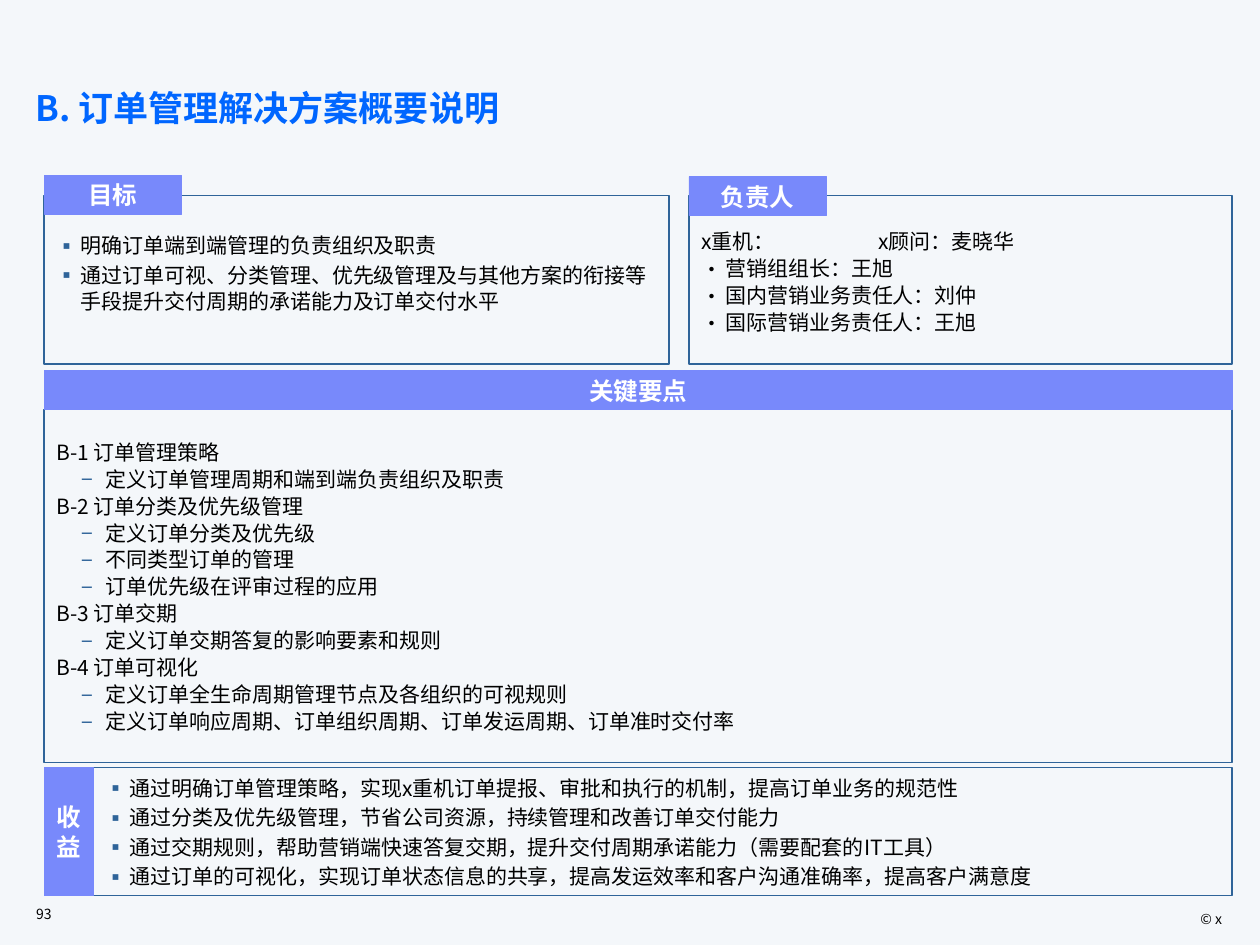
from lxml import etree
from pptx import Presentation
from pptx.dml.color import RGBColor
from pptx.enum.shapes import MSO_SHAPE
from pptx.enum.text import MSO_ANCHOR, MSO_AUTO_SIZE, PP_ALIGN
from pptx.oxml.ns import qn
from pptx.util import Cm, Pt

RECT = MSO_SHAPE.RECTANGLE
TOP, MID = MSO_ANCHOR.TOP, MSO_ANCHOR.MIDDLE
LEFT, CENTER, RIGHT = PP_ALIGN.LEFT, PP_ALIGN.CENTER, PP_ALIGN.RIGHT
FONT = "Noto Sans CJK SC"
HUE = {"back": "F4F7FA", "title": "0066FF", "line": "2F6499",
       "band": "7889FB", "text": "000000", "white": "FFFFFF"}
HANG = 0.48  # bullet hanging indent, cm


def color(name):
    return RGBColor.from_string(HUE[name])


def write(shape, rows, size=12, hue="text", bold=False, align=LEFT,
          anchor=MID, lead=13, gap=0, pad=(0.25, 0.13)):
    """Fill a shape with rows of (text, bullet, bullet colour, indent)."""
    frame = shape.text_frame
    frame.word_wrap = True
    frame.auto_size = MSO_AUTO_SIZE.NONE
    frame.vertical_anchor = anchor
    frame.margin_left = frame.margin_right = Cm(pad[0])
    frame.margin_top, frame.margin_bottom = Cm(pad[1]), Cm(min(pad[1], 0.13))
    for i, (text, mark, tint, left) in enumerate(rows):
        para = frame.paragraphs[0] if i == 0 else frame.add_paragraph()
        para.alignment = align
        para.line_spacing = Pt(lead)
        para.space_before = Pt(gap if i else 0)
        props = para._p.get_or_add_pPr()
        if mark:
            props.set("marL", str(Cm(left)))
            props.set("indent", str(-Cm(HANG)))
            tone = etree.SubElement(props, qn("a:buClr"))
            etree.SubElement(tone, qn("a:srgbClr"), val=HUE[tint])
            etree.SubElement(props, qn("a:buFont"), typeface=FONT)
            etree.SubElement(props, qn("a:buChar"), char=mark)
        if "\t" in text:
            tabs = etree.SubElement(props, qn("a:tabLst"))
            etree.SubElement(tabs, qn("a:tab"), pos=str(Cm(3.57)), algn="l")
        run = para.add_run()
        run.text = text
        font = run.font
        font.name, font.size, font.bold = FONT, Pt(size), bold
        font.color.rgb = color(hue)
        etree.SubElement(run._r.get_or_add_rPr(), qn("a:ea"), typeface=FONT)


deck = Presentation()
deck.slide_width, deck.slide_height = Cm(25.4), Cm(19.05)
slide = deck.slides.add_slide(deck.slide_layouts[5])
slide.background.fill.solid()
slide.background.fill.fore_color.rgb = color("back")

# Title
title = slide.shapes.title
title.left, title.top = Cm(0.46), Cm(1.65)
title.width, title.height = Cm(24.51), Cm(1.93)
write(title, [("B. 订单管理解决方案概要说明", "", "", 0)], 20, "title", True,
      anchor=TOP, lead=23)

# Panel wording
goals = [(text, "▪", "line", HANG) for text in (
    "明确订单端到端管理的负责组织及职责",
    "通过订单可视、分类管理、优先级管理及与其他方案的衔接等手段提升交付周期的承诺能力及订单交付水平")]
gains = [(text, "▪", "line", HANG) for text in (
    "通过明确订单管理策略，实现x重机订单提报、审批和执行的机制，提高订单业务的规范性",
    "通过分类及优先级管理，节省公司资源，持续管理和改善订单交付能力",
    "通过交期规则，帮助营销端快速答复交期，提升交付周期承诺能力（需要配套的IT工具）",
    "通过订单的可视化，实现订单状态信息的共享，提高发运效率和客户沟通准确率，提高客户满意度")]
owners = [("x重机：\tx顾问：麦晓华", "", "", 0)]
owners += [(text, "•", "text", HANG) for text in (
    "营销组组长：王旭", "国内营销业务责任人：刘仲", "国际营销业务责任人：王旭")]
topics = {
    "B-1 订单管理策略": ["定义订单管理周期和端到端负责组织及职责"],
    "B-2 订单分类及优先级管理": ["定义订单分类及优先级", "不同类型订单的管理",
                        "订单优先级在评审过程的应用"],
    "B-3 订单交期": ["定义订单交期答复的影响要素和规则"],
    "B-4 订单可视化": ["定义订单全生命周期管理节点及各组织的可视规则",
                   "定义订单响应周期、订单组织周期、订单发运周期、订单准时交付率"],
}
points = []
for head, items in topics.items():
    points.append((head, "", "", 0))
    points += [(text, "−", "line", 0.99) for text in items]

# Outlined panels: place, rows, anchor, line pitch, gap, top inset
panels = [
    ((0.89, 3.94, 12.6, 3.4), goals, TOP, 14.8, 2, 0.74),
    ((1.88, 15.47, 22.96, 2.59), gains, MID, 14.8, 2, 0.13),
    ((0.89, 8.26, 23.95, 7.11), points, MID, 13, 2.4, 0.2),
    ((13.89, 3.94, 10.95, 3.4), owners, TOP, 13, 2.4, 0.72),
]
for place, rows, anchor, lead, gap, top in panels:
    box = slide.shapes.add_shape(RECT, *map(Cm, place))
    box.shadow.inherit = False
    box.fill.background()
    box.line.color.rgb = color("line")
    box.line.width = Pt(0.75)
    write(box, rows, anchor=anchor, lead=lead, gap=gap, pad=(0.25, top))

# Filled headings
heads = [
    ((0.89, 15.47, 0.99, 2.59), ["收", "益"]),
    ((0.89, 3.53, 2.77, 0.79), ["目标"]),
    ((0.89, 7.47, 23.95, 0.79), ["关键要点"]),
    ((13.89, 3.56, 2.77, 0.79), ["负责人"]),
]
for place, words in heads:
    band = slide.shapes.add_shape(RECT, *map(Cm, place))
    band.shadow.inherit = False
    band.fill.solid()
    band.fill.fore_color.rgb = color("band")
    band.line.color.rgb = color("band")
    band.line.width = Pt(0.5)
    write(band, [(word, "", "", 0) for word in words], 14, "white", True,
          CENTER, lead=17, pad=(0, 0))

# Footer
for place, text, align, anchor in [
        ((21.08, 18.21, 3.81, 0.51), "© x", RIGHT, TOP),
        ((0.48, 18.11, 1.78, 0.61), "93", LEFT, MID)]:
    note = slide.shapes.add_textbox(*map(Cm, place))
    write(note, [(text, "", "", 0)], 8, align=align, anchor=anchor, lead=10)

deck.save("out.pptx")
